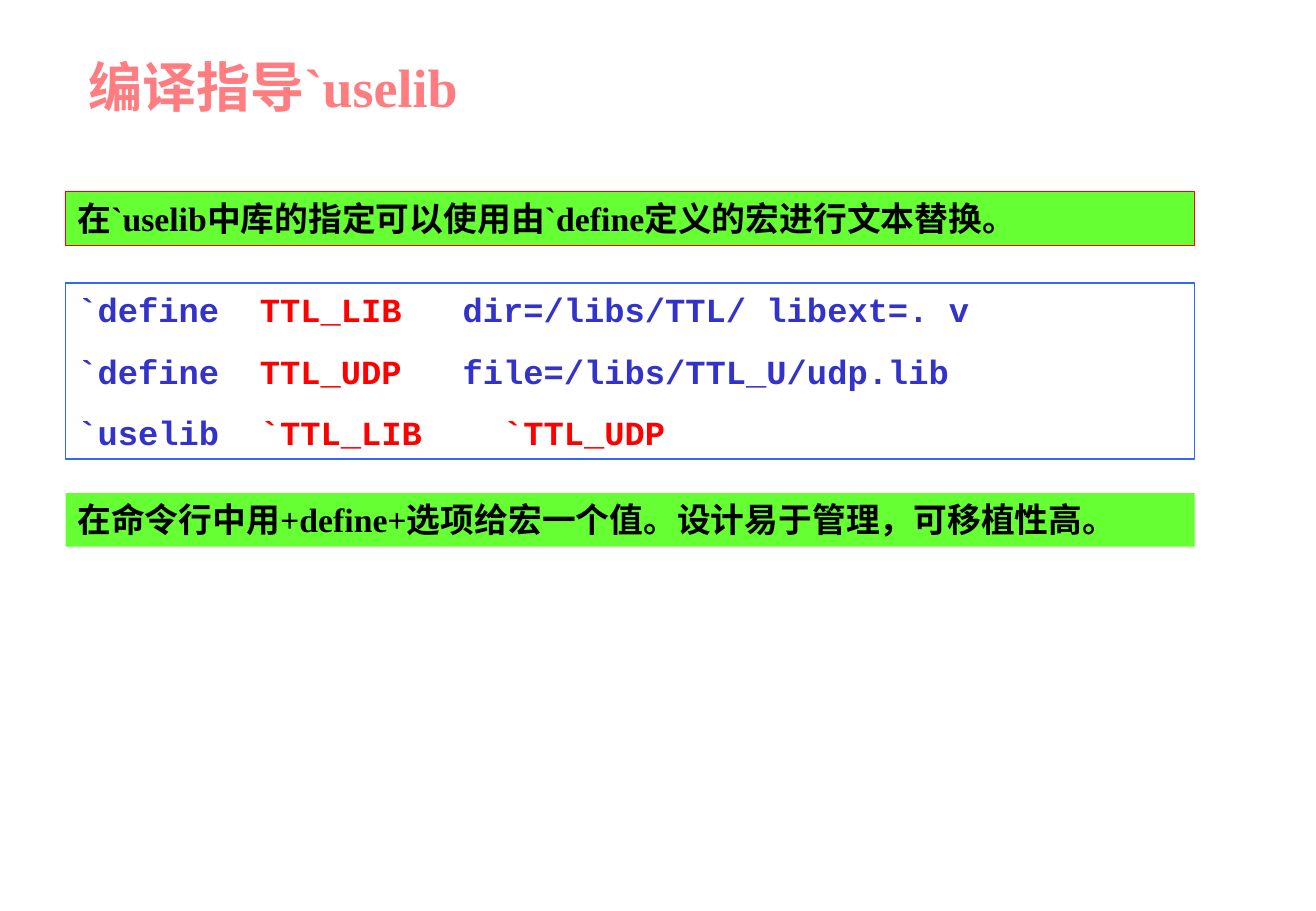
from dataclasses import dataclass
from typing import Optional

from pptx import Presentation
from pptx import util as u
from pptx.dml.color import RGBColor
from pptx.enum import shapes, text

PX = u.Inches(1) // 100  # 100 px to the inch


@dataclass(frozen=True)
class Theme:
    title: str = "FF7C80"
    ink: str = "000000"
    code: str = "3333CC"
    macro: str = "FF0000"
    note_fill: str = "66FF33"
    note_line: str = "FF0000"
    code_line: str = "3366FF"
    serif: str = "Times New Roman"
    mono: str = "Courier New"
    title_pt: float = 32
    body_pt: float = 20
    gap_pt: float = 12.5
    line_pt: float = 0.75


T = Theme()
Run = tuple[str, str]  # wording, colour


@dataclass(frozen=True)
class Box:
    top: int
    height: int
    font: str
    lines: list[list[Run]]
    fill: Optional[str] = None
    line: Optional[str] = None


LEFT, WIDTH = 54, 930
BOXES = [
    Box(233, 145, T.mono, [
        [("`define  ", T.code), ("TTL_LIB", T.macro),
         ("   dir=/libs/TTL/ libext=. v", T.code)],
        [("`define  ", T.code), ("TTL_UDP", T.macro),
         ("   file=/libs/TTL_U/udp.lib", T.code)],
        [("`uselib  ", T.code), ("`TTL_LIB    `TTL_UDP", T.macro)],
    ], line=T.code_line),
    Box(158, 44, T.serif,
        [[("在`uselib中库的指定可以使用由`define定义的宏进行文本替换。", T.ink)]],
        fill=T.note_fill, line=T.note_line),
    Box(406, 44, T.serif,
        [[("在命令行中用+define+选项给宏一个值。设计易于管理，可移植性高。", T.ink)]],
        fill=T.note_fill),
]


def set_all(obj, values: dict) -> None:
    for name, value in values.items():
        setattr(obj, name, value)


def add_run(p, wording: str, font: str, size: float, colour: str) -> None:
    r = p.add_run()
    r.text = wording
    set_all(r.font, {"name": font, "size": u.Pt(size), "bold": True})
    r.font.color.rgb = RGBColor.from_string(colour)


def add_title(s, wording: str) -> None:
    sp = s.shapes.title
    set_all(sp, {"left": 63 * PX, "top": 8 * PX,
                 "width": 813 * PX, "height": 125 * PX})
    sp.text_frame.vertical_anchor = text.MSO_ANCHOR.MIDDLE
    p = sp.text_frame.paragraphs[0]
    p.alignment = text.PP_ALIGN.LEFT
    add_run(p, wording, T.serif, T.title_pt, T.title)


def add_box(s, box: Box) -> None:
    sp = s.shapes.add_shape(shapes.MSO_SHAPE.RECTANGLE, LEFT * PX,
                            box.top * PX, WIDTH * PX, box.height * PX)
    sp.shadow.inherit = False
    if box.fill:
        sp.fill.solid()
        sp.fill.fore_color.rgb = RGBColor.from_string(box.fill)
    else:
        sp.fill.background()
    if box.line:
        sp.line.color.rgb = RGBColor.from_string(box.line)
        sp.line.width = u.Pt(T.line_pt)
    else:
        sp.line.fill.background()

    tf = sp.text_frame
    set_all(tf, {"word_wrap": True, "vertical_anchor": text.MSO_ANCHOR.TOP,
                 "auto_size": text.MSO_AUTO_SIZE.SHAPE_TO_FIT_TEXT,
                 "margin_left": 10 * PX, "margin_right": 10 * PX,
                 "margin_top": 5 * PX, "margin_bottom": 5 * PX})
    for i, runs in enumerate(box.lines):
        p = tf.add_paragraph() if i else tf.paragraphs[0]
        p.alignment = text.PP_ALIGN.LEFT
        if i:
            p.space_before = u.Pt(T.gap_pt)
        for wording, colour in runs:
            add_run(p, wording, box.font, T.body_pt, colour)


def main() -> None:
    prs = Presentation()
    set_all(prs, {"slide_width": 1084 * PX, "slide_height": 750 * PX})
    s = prs.slides.add_slide(prs.slide_layouts[5])  # Title Only

    # Heading
    add_title(s, "编译指导`uselib")

    # Code listing and the notes around it
    for box in BOXES:
        add_box(s, box)

    prs.save("out.pptx")


if __name__ == "__main__":
    main()
